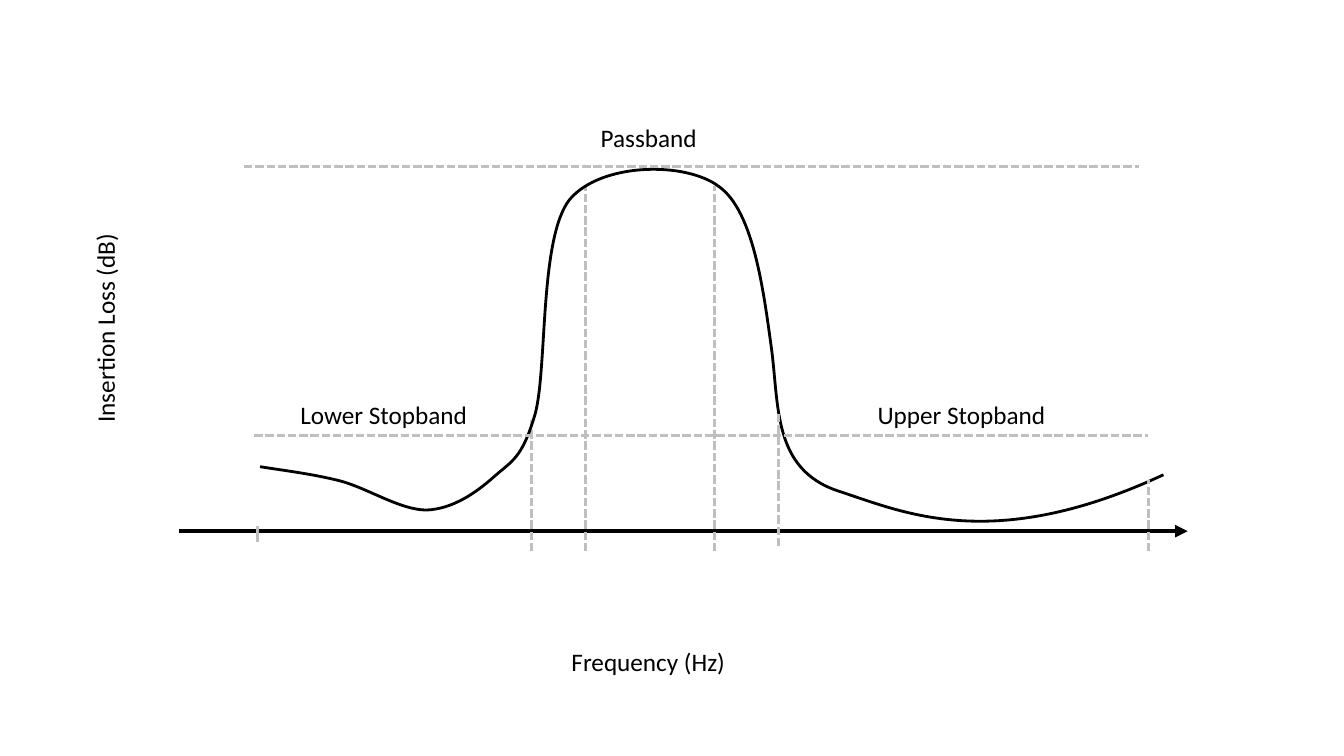
from lxml import etree
from pptx import Presentation
from pptx import util as u
from pptx.dml.color import RGBColor
from pptx.enum import dml, shapes, text
from pptx.oxml import ns

COLORS = {"ink": "000000", "guide": "BFBFBF"}
FONT = "Calibri"

RESPONSE_TOP_LEFT, RESPONSE_BOTTOM_RIGHT = (0.8, 3.59), (9.76, 0.1)
RESPONSE_START = (0.8, 0.64)
RESPONSE_BENDS = [
    ((1.05, 0.6), (1.31, 0.57), (1.59, 0.5)),
    ((1.86, 0.43), (2.19, 0.21), (2.45, 0.21)),
    ((2.71, 0.22), (2.94, 0.38), (3.12, 0.54)),
    ((3.3, 0.7), (3.4, 0.72), (3.53, 1.17)),
    ((3.65, 1.63), (3.57, 2.91), (3.87, 3.29)),
    ((4.18, 3.66), (5.02, 3.67), (5.35, 3.42)),
    ((5.69, 3.18), (5.79, 2.41), (5.87, 1.83)),
    ((5.95, 1.25), (5.88, 0.62), (6.53, 0.4)),
    ((7.18, 0.19), (8.06, -0.23), (9.76, 0.56)),
]
PASSBAND_EDGES = [(4.03, -0.2, 3.42), (5.31, -0.2, 3.42), (3.49, -0.2, 1.1)]
STOPBAND_EDGES = [(5.94, -0.15, 1.16), (9.61, -0.2, 0.51)]
LEVELS = [(0.74, 9.61, 0.95), (0.64, 9.52, 3.62)]
LABELS = [
    ("Insertion Loss (dB)", -0.74, 2.03, 2.1, 270),
    ("Passband", 4.66, 3.91, 1.16, 0),
    ("Upper Stopband", 7.77, 1.16, 1.89, 0),
    ("Lower Stopband", 2.04, 1.16, 1.88, 0),
    ("Frequency (Hz)", 4.66, -1.29, 1.74, 0),
]


def place(origin, point):
    """Turn an offset along the axis and a height above it into slide lengths."""
    return u.Inches(origin[0] + point[0]), u.Inches(origin[1] - point[1])


def draw_line(slide, origin, start, end, color, width, dashed=False):
    """Draw a straight line between two plot points."""
    line = slide.shapes.add_connector(
        shapes.MSO_CONNECTOR.STRAIGHT, *place(origin, start), *place(origin, end))
    line.line.color.rgb = RGBColor.from_string(COLORS[color])
    line.line.width = u.Pt(width)
    if dashed:
        line.line.dash_style = dml.MSO_LINE.SQUARE_DOT
    etree.SubElement(line._element.spPr, ns.qn("a:effectLst"))
    return line


def draw_axis(slide, origin, length):
    """Draw the frequency axis with its arrowhead and start tick."""
    axis = draw_line(slide, origin, (0, 0), (length, 0), "ink", 3)
    etree.SubElement(axis.line._get_or_add_ln(), ns.qn("a:tailEnd"), type="triangle")
    draw_line(slide, origin, (0.77, -0.11), (0.77, 0.05), "guide", 2)


def draw_edges(slide, origin, edges):
    """Draw dashed upright lines at the band edges."""
    for offset, bottom, top in edges:
        draw_line(slide, origin, (offset, bottom), (offset, top), "guide", 2, True)


def draw_levels(slide, origin):
    """Draw the dashed loss levels."""
    for left, right, height in LEVELS:
        draw_line(slide, origin, (left, height), (right, height), "guide", 2, True)


def add_path_step(path, tag, points, corner):
    """Add one drawing step to an outline, measured from its box's corner."""
    step = etree.SubElement(path, ns.qn(tag))
    for x, y in points:
        etree.SubElement(
            step, ns.qn("a:pt"), x=str(x - corner[0]), y=str(y - corner[1]))


def draw_response(slide, origin):
    """Draw the filter's response as one open outline of smooth bends."""
    corner = place(origin, RESPONSE_TOP_LEFT)
    outline = slide.shapes.build_freeform(*corner)
    outline.add_line_segments([place(origin, RESPONSE_BOTTOM_RIGHT)], close=False)
    response = outline.convert_to_shape()
    path = response._element.spPr.find(".//" + ns.qn("a:path"))
    for step in list(path):
        path.remove(step)
    add_path_step(path, "a:moveTo", [place(origin, RESPONSE_START)], corner)
    for bend in RESPONSE_BENDS:
        add_path_step(path, "a:cubicBezTo", [place(origin, p) for p in bend], corner)
    response.shadow.inherit = False
    response.fill.background()
    response.line.color.rgb = RGBColor.from_string(COLORS["ink"])
    response.line.width = u.Pt(2)


def add_label(slide, origin, wording, offset, height, width, rotation):
    """Add one label centred on a plot point."""
    corner = place(origin, (offset - width / 2, height + 0.2))
    label = slide.shapes.add_textbox(*corner, u.Inches(width), u.Inches(0.4))
    label.rotation = rotation
    frame = label.text_frame
    frame.word_wrap = False
    frame.auto_size = text.MSO_AUTO_SIZE.SHAPE_TO_FIT_TEXT
    paragraph = frame.paragraphs[0]
    paragraph.text = wording
    paragraph.font.name = FONT
    paragraph.font.size = u.Pt(18)
    paragraph.font.color.rgb = RGBColor.from_string(COLORS["ink"])


def draw_filter_plot(slide, origin, length):
    """Draw the whole band-pass plot from the left end of its axis."""
    draw_axis(slide, origin, length)
    draw_edges(slide, origin, PASSBAND_EDGES)
    draw_response(slide, origin)
    draw_edges(slide, origin, STOPBAND_EDGES)
    for label in LABELS:
        add_label(slide, origin, *label)
    draw_levels(slide, origin)


def main():
    """Build and save the slide."""
    deck = Presentation()
    deck.slide_width, deck.slide_height = u.Inches(13.33), u.Inches(7.5)
    slide = deck.slides.add_slide(deck.slide_layouts[6])
    draw_filter_plot(slide, (1.78, 5.27), 10)
    deck.save("out.pptx")


if __name__ == "__main__":
    main()
